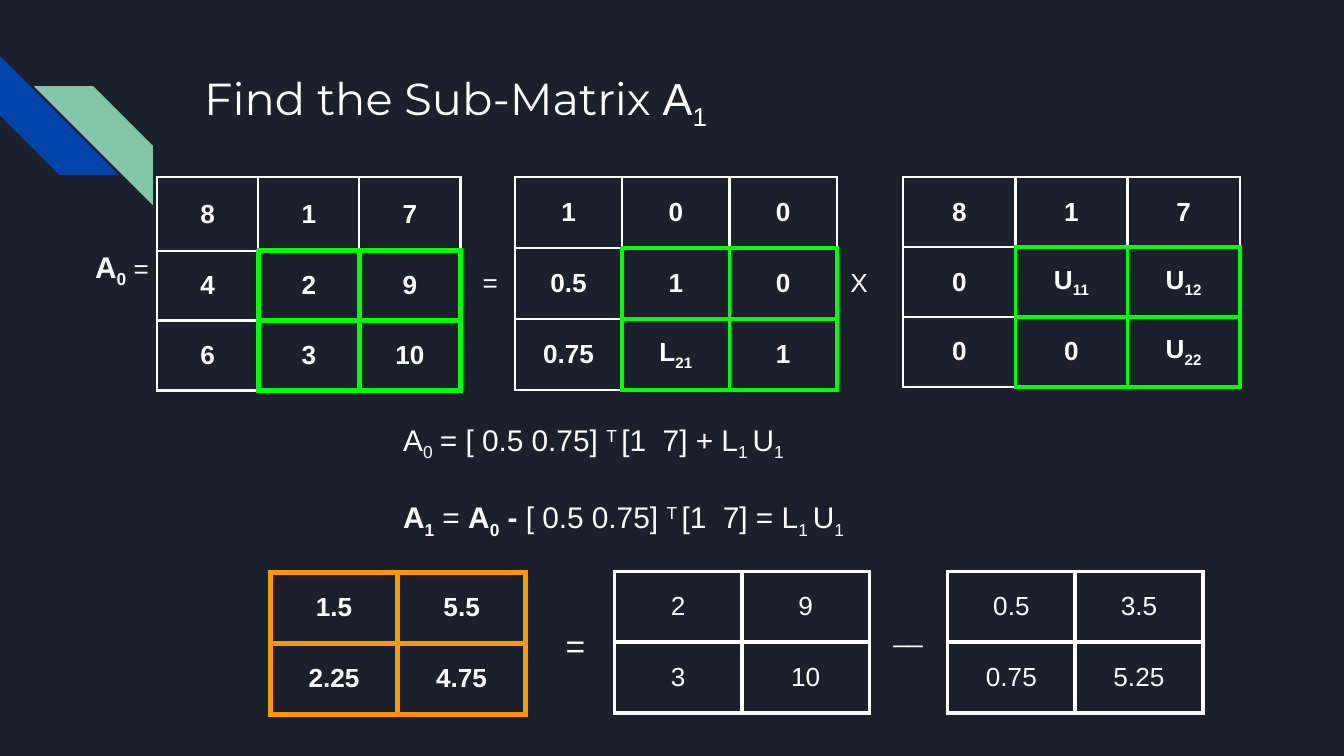
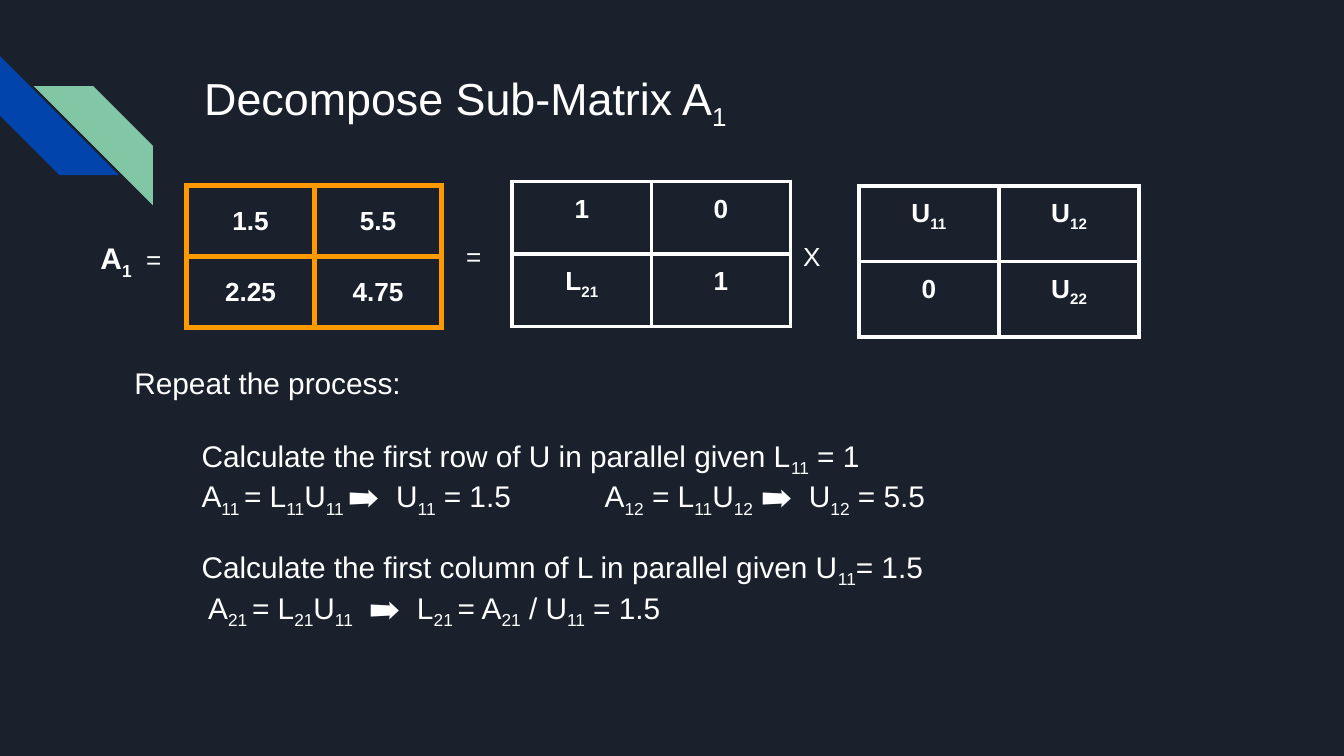
"""Builds two slides on splitting a matrix into L and U."""
import pptx
import pptx.dml.color
import pptx.enum.shapes
import pptx.enum.text
import pptx.oxml
import pptx.oxml.ns
import pptx.util

Cm = pptx.util.Cm
Pt = pptx.util.Pt
NIGHT, WHITE, BLUE, MINT = "1B212C", "FFFFFF", "0145AC", "82C7A5"
GREEN, GOLD = "00FF00", "FF9900"
MID = pptx.enum.text.MSO_ANCHOR.MIDDLE
TOP = pptx.enum.text.MSO_ANCHOR.TOP
STRIPE = pptx.enum.shapes.MSO_SHAPE.DIAGONAL_STRIPE


def hue(code):
    """Turn a hex string into a colour."""
    return pptx.dml.color.RGBColor.from_string(code)


def write(para, text, size, bold=False):
    """Write runs split by |, led by ~ low, ^ high, * bold, < small, @ title font."""
    para.font.size = Pt(size)
    para.font.name = "Arial"
    para.font.bold = bold
    para.font.color.rgb = hue(WHITE)
    for part in text.split("|"):
        bare = part.lstrip("~^*<@")
        marks = part[:len(part) - len(bare)]
        run = para.add_run()
        run.text = bare
        if "*" in marks:
            run.font.bold = True
        if "<" in marks:
            run.font.size = Pt(14)
        if "@" in marks:
            run.font.name = "Montserrat"
        if "~" in marks:
            run._r.get_or_add_rPr().set("baseline", "-25000")
        if "^" in marks:
            run._r.get_or_add_rPr().set("baseline", "30000")


first = {
    "title": "@Find the Sub-Matrix |A|~1",
    "grids": [
        (2.97, 3.35, 1.91, [1.39, 1.32, 1.32], GREEN, 3, True, MID,
         ["8 1 7", "4 2 9", "6 3 10"]),
        (9.73, 3.35, 2.03, [1.34] * 3, GREEN, 2.25, True, MID,
         ["1 0 0", "0.5 1 0", "0.75 L|~21 1"]),
        (17.07, 3.35, 2.12, [1.32] * 3, GREEN, 2.25, True, MID,
         ["8 1 7", "0 U|~11 U|~12", "0 0 U|~22"]),
        (5.11, 10.82, 2.41, [1.34] * 2, GOLD, 3, True, MID,
         ["1.5 5.5", "2.25 4.75"]),
        (11.61, 10.8, 2.41, [1.34] * 2, WHITE, 2.25, False, MID,
         ["2 9", "3 10"]),
        (17.91, 10.8, 2.41, [1.34] * 2, WHITE, 2.25, False, MID,
         ["0.5 3.5", "0.75 5.25"]),
    ],
    "signs": [
        (1.55, 4.45, 18.14, 16, "*A|*~0|< ="),
        (8.87, 4.78, 1.2, 14, "="),
        (15.82, 4.78, 1.2, 14, "X"),
        (10.44, 11.56, 14.9, 18, "="),
        (16.64, 11.4, 8.7, 14, "__"),
    ],
    "body": (2.29, 7.72, 20.37, 4.34),
    "lines": [
        (3.81, 1.27, 0, "A|~0|< |= [ 0.5 0.75] |^T |[1  7] + L|~1 |U|~1"),
        (3.81, 1.27, 19.5,
         "*A|*~1| = |*A|*~0|* - |[ 0.5 0.75] |^T |[1  7] = L|~1 |U|~1"),
    ],
}
second = {
    "title": "Decompose Sub-Matrix A|~1",
    "grids": [
        (3.53, 3.51, 2.41, [1.34] * 2, GOLD, 3, True, MID,
         ["1.5 5.5", "2.25 4.75"]),
        (9.68, 3.43, 2.63, [1.37] * 2, WHITE, 2.25, True, TOP,
         ["1 0", "L|~21 1"]),
        (16.23, 3.51, 2.65, [1.43] * 2, WHITE, 2.25, True, TOP,
         ["U|~11 U|~12", "0 U|~22"]),
    ],
    "signs": [
        (1.65, 4.29, 1.75, 16, "*A|*~1|<  ="),
        (8.56, 4.29, 1.2, 14, "="),
        (14.93, 4.29, 1.2, 14, "X"),
    ],
    "body": (1.02, 6.65, 23.34, 7.19),
    "lines": [
        (0, 1.27, 0, "Repeat the process:"),
        (1.27, 1.27, 19.5,
         "Calculate the first row of U in parallel given L|~11| = 1"),
        (1.27, 1.27, 0,
         "A|~11 |= L|~11|U|~11 |➡  U|~11| = 1.5 \t\t"
         "A|~12| = L|~11|U|~12| ➡  U|~12| = 5.5"),
        (1.27, 1.27, 16,
         "Calculate the first column of L in parallel given U|~11|= 1.5"),
        (2.54, 0, 0,
         " A|~21 |= L|~21|U|~11|  ➡  L|~21 |= A|~21| / U|~11| = 1.5"),
    ],
}

deck = pptx.Presentation()
deck.slide_width = Cm(25.4)
deck.slide_height = Cm(14.29)
ground = deck.slide_master.background.fill
ground.solid()
ground.fore_color.rgb = hue(NIGHT)

for page in (first, second):
    slide = deck.slides.add_slide(deck.slide_layouts[6])

    for left, top, turn, flip, tint in (
            (0, 1.06, 270, "0", BLUE), (0.64, 1.63, 0, "1", MINT)):
        stripe = slide.shapes.add_shape(
            STRIPE, Cm(left), Cm(top), Cm(2.25), Cm(2.25))
        stripe.rotation = turn
        stripe._element.spPr.xfrm.set("flipH", flip)
        stripe.shadow.inherit = False
        stripe.fill.solid()
        stripe.fill.fore_color.rgb = hue(tint)
        stripe.line.fill.background()

    for left, top, col, tall, tint, thick, bold, hold, rows in page["grids"]:
        cells = [row.split(" ") for row in rows]
        size = len(cells)
        table = slide.shapes.add_table(
            size, size, Cm(left), Cm(top), Cm(col * size), Cm(sum(tall))).table
        table.first_row = False
        table.horz_banding = False
        strong = (tint, thick)
        plain = (WHITE, 1.5) if size == 3 else strong
        for r, row in enumerate(cells):
            table.rows[r].height = Cm(tall[r])
            table.columns[r].width = Cm(col)
            for c, text in enumerate(row):
                cell = table.cell(r, c)
                cell.vertical_anchor = hold
                cell.margin_left = cell.margin_right = Cm(0.25)
                cell.margin_top = cell.margin_bottom = Cm(0.25)
                para = cell.text_frame.paragraphs[0]
                para.alignment = pptx.enum.text.PP_ALIGN.CENTER
                write(para, text, 14, bold)
                inner = r > 0 and c > 0
                sides = {"L": inner, "R": r > 0, "T": inner, "B": c > 0}
                for side, lit in sides.items():
                    code, width = strong if lit else plain
                    cell._tc.get_or_add_tcPr().append(pptx.oxml.parse_xml(
                        f'<a:ln{side} {pptx.oxml.ns.nsdecls("a")} w="{Pt(width)}">'
                        f'<a:solidFill><a:srgbClr val="{code}"/></a:solidFill>'
                        f'</a:ln{side}>'))
                cell.fill.background()

    texts = [(3.61, 1.09, 19.56, 2.54, 24, [(0, 0, 0, page["title"])]),
             (*page["body"], 16, page["lines"])]
    for left, top, wide, size, text in page["signs"]:
        texts.append((left, top, wide, 2.1, size, [(0, 0, 0, text)]))
    for left, top, wide, high, size, lines in texts:
        frame = slide.shapes.add_textbox(
            Cm(left), Cm(top), Cm(wide), Cm(high)).text_frame
        frame.word_wrap = True
        frame.margin_left = frame.margin_right = Cm(0.25)
        frame.margin_top = frame.margin_bottom = Cm(0.25)
        for n, (edge, dent, gap, text) in enumerate(lines):
            para = frame.add_paragraph() if n else frame.paragraphs[0]
            para.space_before = Pt(gap)
            props = para._p.get_or_add_pPr()
            props.set("marL", str(Cm(edge)))
            props.set("indent", str(Cm(dent)))
            write(para, text, size)

deck.save("out.pptx")
